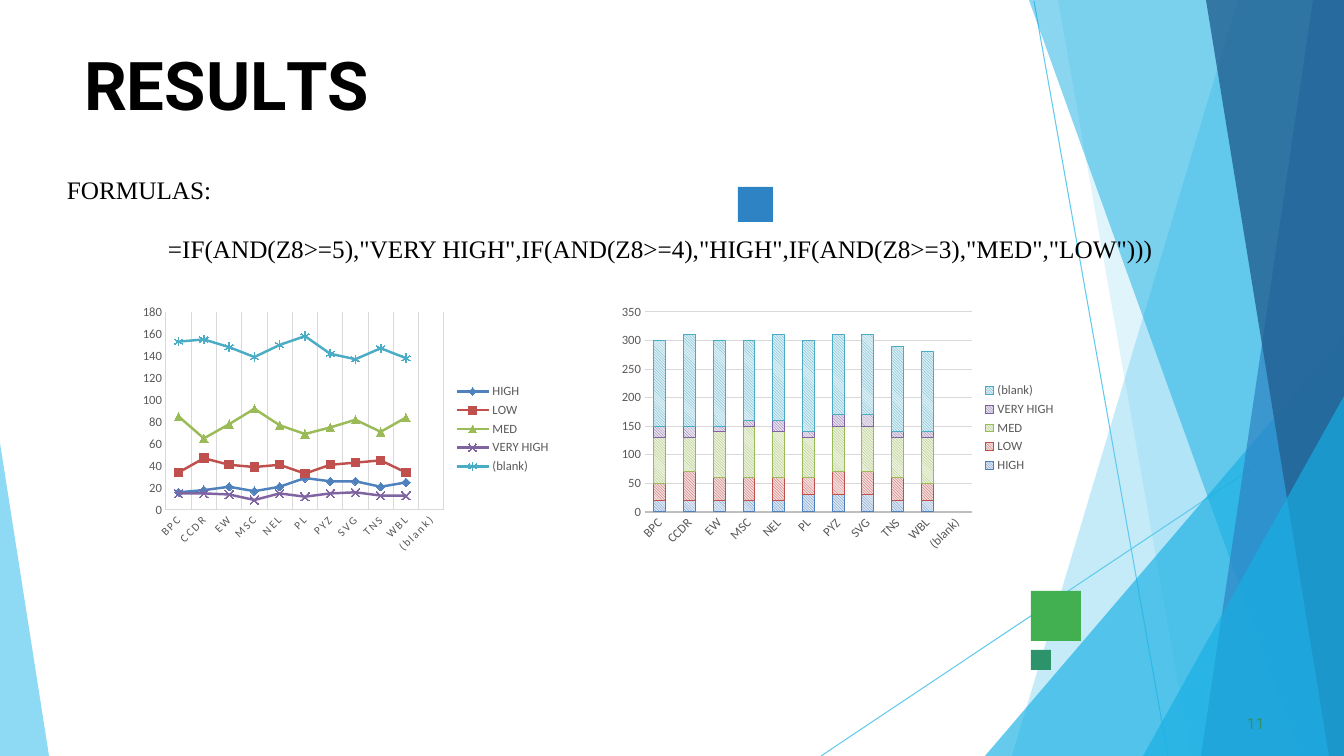
import dataclasses

import lxml.etree
import pptx
import pptx.chart.data
import pptx.dml.color
import pptx.enum.chart
import pptx.enum.dml
import pptx.enum.shapes
import pptx.enum.text
import pptx.oxml.ns
import pptx.util

PX = 914400 / 100.8
W, H = 1344, 756
qn = pptx.oxml.ns.qn
Pt = pptx.util.Pt
MARKER = pptx.enum.chart.XL_MARKER_STYLE
CHART = pptx.enum.chart.XL_CHART_TYPE


@dataclasses.dataclass(frozen=True)
class Theme:
    sky: str = "5FCAEE"
    cyan: str = "17AFE3"
    blue: str = "2D83C3"
    navy: str = "226192"
    green: str = "42AF51"
    teal: str = "2D936B"
    black: str = "000000"
    label: str = "595959"
    grid: str = "D9D9D9"
    axis: str = "BFBFBF"
    heading: str = "Roboto"
    serif: str = "Times New Roman"
    sans: str = "Calibri"
    title_size: int = 48
    body_size: int = 18
    number_size: int = 11
    chart_size: int = 9
    small_size: int = 8


T = Theme()

CATEGORIES = ["BPC", "CCDR", "EW", "MSC", "NEL", "PL", "PYZ", "SVG", "TNS", "WBL", "(blank)"]
SERIES = [
    ("HIGH", [16, 18, 21, 17, 21, 29, 26, 26, 21, 25, None], "4F81BD", "DCE6F2", MARKER.DIAMOND),
    ("LOW", [34, 47, 41, 39, 41, 33, 41, 43, 45, 34, None], "C0504D", "F2DCDB", MARKER.SQUARE),
    ("MED", [85, 65, 78, 92, 77, 69, 75, 82, 71, 84, None], "9BBB59", "EBF1DE", MARKER.TRIANGLE),
    ("VERY HIGH", [15, 15, 14, 9, 15, 12, 15, 16, 13, 13, None], "8064A2", "E6E0EC", MARKER.X),
    ("(blank)", [153, 155, 148, 139, 150, 158, 142, 137, 147, 138, None], "4BACC6", "DBEEF4", MARKER.STAR),
]
FACETS = [
    ([(W, 0), (1238, 0), (1012, H), (W, H)], T.sky, 36),
    ([(W, 0), (1058, 0), (1191, H), (W, H)], T.sky, 20),
    ([(W, 336), (985, H), (W, H)], T.cyan, 66),
    ([(W, 0), (1029, 0), (1301, H), (W, H)], T.cyan, 50),
    ([(W, 0), (1313, 0), (1201, H), (W, H)], T.blue, 70),
    ([(W, 0), (1206, 0), (1329, H), (W, H)], T.navy, 80),
    ([(W, 396), (1143, H), (W, H)], T.cyan, 66),
    ([(0, 443), (0, H), (49, H)], T.sky, 70),
]
TITLE_RUNS = [("R", 0), ("E", -0.4), ("S", 0.1), ("U", -0.3), ("L", -4), ("TS", 0)]
FORMULA = '=IF(AND(Z8>=5),"VERY HIGH",IF(AND(Z8>=4),"HIGH",IF(AND(Z8>=3),"MED","LOW")))'


def px(*lengths):
    return [round(n * PX) for n in lengths]


def rgb(color):
    return pptx.dml.color.RGBColor.from_string(color)


def paint(sp, color, alpha=100):
    sp.shadow.inherit = False
    sp.fill.solid()
    sp.fill.fore_color.rgb = rgb(color)
    sp.line.fill.background()
    if alpha < 100:
        clr = sp._element.spPr.find(".//" + qn("a:srgbClr"))
        lxml.etree.SubElement(clr, qn("a:alpha"), val=str(alpha * 1000))


def stroke(line, color, width):
    line.color.rgb = rgb(color)
    line.width = Pt(width)


def add_facet(s, points, color, alpha):
    builder = s.shapes.build_freeform(*points[0], scale=PX)
    builder.add_line_segments(points[1:], close=True)
    paint(builder.convert_to_shape(), color, alpha)


def add_square(s, x, y, side, color):
    kind = pptx.enum.shapes.MSO_SHAPE.RECTANGLE
    paint(s.shapes.add_shape(kind, *px(x, y, side, side)), color)


def add_ray(s, *ends):
    ray = s.shapes.add_connector(pptx.enum.shapes.MSO_CONNECTOR.STRAIGHT, *px(*ends))
    stroke(ray.line, T.sky, 0.75)
    lxml.etree.SubElement(ray._element.spPr, qn("a:effectLst"))


def add_run(p, text, *, size, font, color=T.black, bold=False, spacing=0):
    r = p.add_run()
    r.text = text
    r.font.size, r.font.name, r.font.bold = Pt(size), font, bold
    r.font.color.rgb = rgb(color)
    if spacing:
        r._r.get_or_add_rPr().set("spc", str(round(spacing * 100)))


def set_frame(sp, *box):
    sp.left, sp.top, sp.width, sp.height = px(*box)
    tf = sp.text_frame
    tf.margin_left = tf.margin_top = tf.margin_right = tf.margin_bottom = 0
    tf.word_wrap = True
    tf.auto_size = pptx.enum.text.MSO_AUTO_SIZE.NONE
    tf.vertical_anchor = pptx.enum.text.MSO_ANCHOR.TOP
    return tf


def format_paragraph(p, indent=0, before=0):
    p.alignment = pptx.enum.text.PP_ALIGN.LEFT
    p.space_before = Pt(before)
    pPr = p._p.get_or_add_pPr()
    pPr.set("marL", str(px(indent)[0]))
    pPr.set("indent", "0")
    lxml.etree.SubElement(pPr, qn("a:buNone"))


def set_plot_box(chart, box, plot):
    area = chart._chartSpace.chart.plotArea
    for old in area.findall(qn("c:layout")):
        area.remove(old)
    layout = lxml.etree.Element(qn("c:layout"))
    manual = lxml.etree.SubElement(layout, qn("c:manualLayout"))
    x, y, w, h = box
    left, top, width, height = plot
    values = [("layoutTarget", "inner"), ("xMode", "edge"), ("yMode", "edge"),
              ("x", (left - x) / w), ("y", (top - y) / h), ("w", width / w), ("h", height / h)]
    for tag, value in values:
        lxml.etree.SubElement(manual, qn("c:" + tag), val=str(value))
    area.insert(0, layout)


def style_font(font, size):
    font.size, font.name = Pt(size), T.sans
    font.color.rgb = rgb(T.label)


def style_axis(axis, size, grid):
    style_font(axis.tick_labels.font, size)
    axis.major_tick_mark = axis.minor_tick_mark = pptx.enum.chart.XL_TICK_MARK.NONE
    axis.has_major_gridlines = grid
    if grid:
        stroke(axis.major_gridlines.format.line, T.grid, 0.75)


def add_chart(s, kind, box, plot, *, digits, cat_size, cat_grid, top, step):
    data = pptx.chart.data.CategoryChartData()
    data.categories = CATEGORIES
    for name, values, *_ in SERIES:
        data.add_series(name, [None if v is None else round(v, digits) for v in values])
    chart = s.shapes.add_chart(kind, *px(*box), data).chart
    chart.has_title = False
    style_font(chart.font, T.chart_size)
    chart.has_legend = True
    chart.legend.position = pptx.enum.chart.XL_LEGEND_POSITION.RIGHT
    chart.legend.include_in_layout = False
    style_font(chart.legend.font, T.chart_size)
    style_axis(chart.category_axis, cat_size, cat_grid)
    style_axis(chart.value_axis, T.chart_size, not cat_grid)
    chart.value_axis.minimum_scale, chart.value_axis.maximum_scale = 0, top
    chart.value_axis.major_unit = step
    chart.category_axis._element.find(qn("c:txPr")).find(qn("a:bodyPr")).set("rot", "-2700000")
    chart.plots[0].vary_by_categories = False
    set_plot_box(chart, box, plot)
    return chart


def add_line_chart(s):
    chart = add_chart(s, CHART.LINE_MARKERS, (134, 299, 427, 260), (166, 312, 278, 198),
                      digits=0, cat_size=T.small_size, cat_grid=True, top=180, step=20)
    for axis in (chart.category_axis, chart.value_axis):
        stroke(axis.format.line, T.grid, 0.75)
    chart.category_axis._element.find(".//" + qn("a:defRPr")).set("spc", "120")
    for ser, (_, _, color, _, marker) in zip(chart.plots[0].series, SERIES):
        ser.smooth = False
        stroke(ser.format.line, color, 1.75)
        ser.marker.style, ser.marker.size = marker, 6
        stroke(ser.marker.format.line, color, 0.75)
        if marker in (MARKER.X, MARKER.STAR):
            ser.marker.format.fill.background()
        else:
            ser.marker.format.fill.solid()
            ser.marker.format.fill.fore_color.rgb = rgb(color)


def add_stacked_chart(s):
    chart = add_chart(s, CHART.COLUMN_STACKED, (613, 299, 453, 258), (645, 312, 327, 200),
                      digits=-1, cat_size=T.chart_size, cat_grid=False, top=350, step=50)
    stroke(chart.category_axis.format.line, T.axis, 1.5)
    chart.value_axis.format.line.fill.background()
    chart.plots[0].gap_width, chart.plots[0].overlap = 150, 100
    for ser, (_, _, color, tint, _) in zip(chart.plots[0].series, SERIES):
        fill = ser.format.fill
        fill.patterned()
        fill.pattern = pptx.enum.dml.MSO_PATTERN.LIGHT_DOWNWARD_DIAGONAL
        fill.fore_color.rgb, fill.back_color.rgb = rgb(color), rgb(tint)
        stroke(ser.format.line, color, 0.75)


def add_texts(s):
    title, body = s.shapes.title, s.placeholders[1]
    for sp in (title, body):
        s.shapes._spTree.append(sp._element)
    p = set_frame(title, 84, 43, 1177, 84).paragraphs[0]
    format_paragraph(p, before=1)
    for text, spacing in TITLE_RUNS:
        add_run(p, text, size=T.title_size, font=T.heading, bold=True, spacing=spacing)
    tf = set_frame(body, 67, 174, 1210, 89)
    for p, text, indent, before in ((tf.paragraphs[0], "FORMULAS:", 0, 0),
                                    (tf.add_paragraph(), FORMULA, 101, 21)):
        format_paragraph(p, indent, before)
        add_run(p, text, size=T.body_size, font=T.serif)
    number = s.shapes.add_textbox(*px(1243, 714, 25, 21))
    p = set_frame(number, 1243, 714, 25, 21).paragraphs[0]
    format_paragraph(p, indent=4, before=0.6)
    add_run(p, "11", size=T.number_size, font=T.heading, color=T.teal, spacing=0.1)


def main():
    prs = pptx.Presentation()
    prs.slide_width, prs.slide_height = px(W, H)
    s = prs.slides.add_slide(prs.slide_layouts[1])
    add_ray(s, 1034, 1, 1168, H)
    add_ray(s, W, 407, 821, H)
    for facet in FACETS:
        add_facet(s, *facet)
    add_square(s, 1031, 591, 50, T.green)
    add_square(s, 738, 187, 35, T.blue)
    add_square(s, 1031, 650, 20, T.teal)
    add_texts(s)
    add_line_chart(s)
    add_stacked_chart(s)
    prs.save("out.pptx")


if __name__ == "__main__":
    main()
